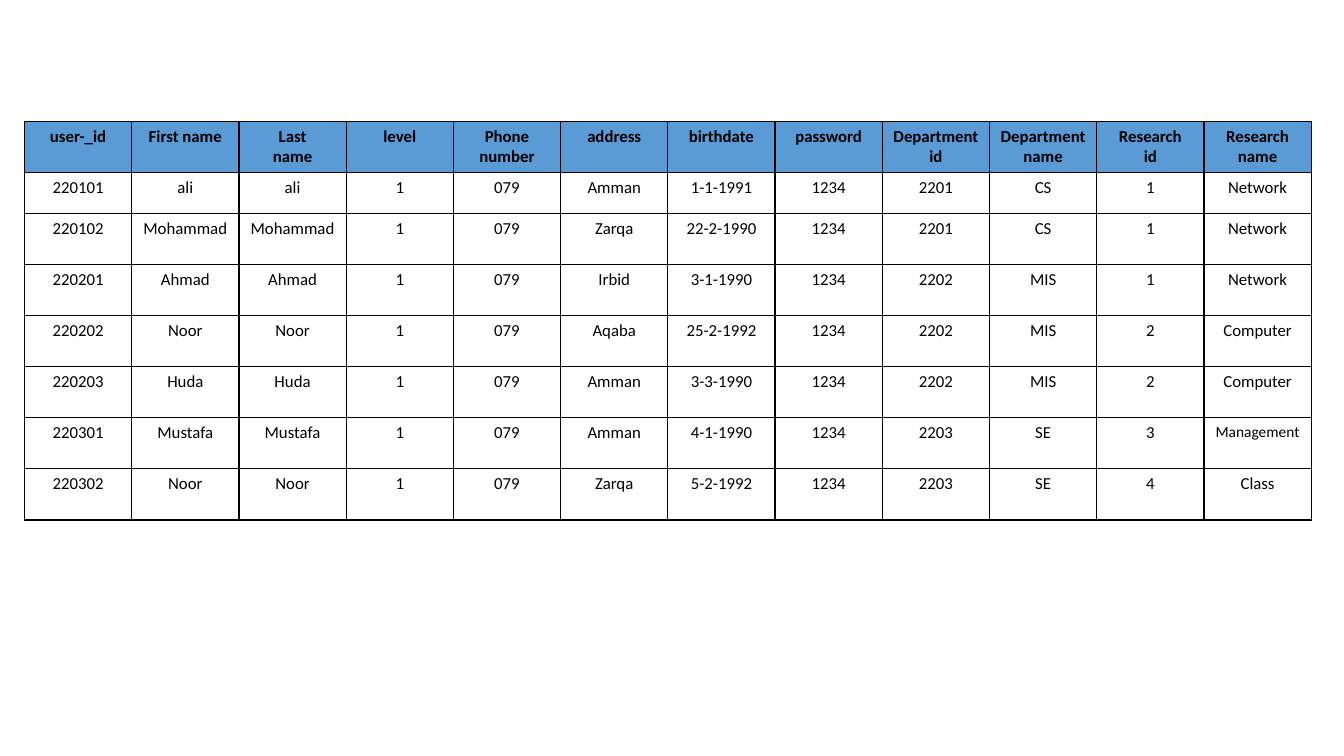
from lxml import etree
from pptx import Presentation
from pptx.dml.color import RGBColor
from pptx.enum import text
from pptx.oxml import ns
from pptx.util import Pt

# Content: a line break in a heading starts a new paragraph
HEADINGS = [
    "user-_id", "First name", "Last\nname", "level", "Phone\nnumber", "address",
    "birthdate", "password", "Department\nid", "Department\nname",
    "Research\nid", "Research\nname",
]
USERS = [
    ("220101", "ali", "ali", "1", "079", "Amman", "1-1-1991", "1234", "2201", "CS", "1", "Network"),
    ("220102", "Mohammad", "Mohammad", "1", "079", "Zarqa", "22-2-1990", "1234", "2201", "CS", "1", "Network"),
    ("220201", "Ahmad", "Ahmad", "1", "079", "Irbid", "3-1-1990", "1234", "2202", "MIS", "1", "Network"),
    ("220202", "Noor", "Noor", "1", "079", "Aqaba", "25-2-1992", "1234", "2202", "MIS", "2", "Computer"),
    ("220203", "Huda", "Huda", "1", "079", "Amman", "3-3-1990", "1234", "2202", "MIS", "2", "Computer"),
    ("220301", "Mustafa", "Mustafa", "1", "079", "Amman", "4-1-1990", "1234", "2203", "SE", "3", "Management"),
    ("220302", "Noor", "Noor", "1", "079", "Zarqa", "5-2-1992", "1234", "2203", "SE", "4", "Class"),
]
SMALL_WORDS = {"Management"}

THEME = {
    "font": "Calibri", "size": 12, "small_size": 11,
    "ink": "000000", "header_fill": "5B9BD5", "body_fill": "FFFFFF", "border": 1,
}

# Layout in points
SLIDE_WIDTH, SLIDE_HEIGHT = 960, 540
TABLE_LEFT, TABLE_TOP = 17.5, 86.7
COLUMN_WIDTH = 76.6
ROW_HEIGHT, FIRST_USER_HEIGHT = 36.5, 29.3
SIDE_MARGIN = 5.4


def add_borders(cell):
    properties = cell._tc.get_or_add_tcPr()
    for side in ("lnL", "lnR", "lnT", "lnB"):
        line = etree.SubElement(properties, ns.qn(f"a:{side}"), w=str(Pt(THEME["border"])))
        fill = etree.SubElement(line, ns.qn("a:solidFill"))
        etree.SubElement(fill, ns.qn("a:srgbClr"), val=THEME["ink"])


def fill_cell(cell, words, is_header):
    add_borders(cell)
    cell.fill.solid()
    cell.fill.fore_color.rgb = RGBColor.from_string(THEME["header_fill" if is_header else "body_fill"])
    cell.margin_left = cell.margin_right = Pt(SIDE_MARGIN)
    frame = cell.text_frame
    for index, line in enumerate(words.split("\n")):
        paragraph = frame.add_paragraph() if index else frame.paragraphs[0]
        paragraph.alignment = text.PP_ALIGN.CENTER
        run = paragraph.add_run()
        run.text = line
        run.font.name = THEME["font"]
        run.font.size = Pt(THEME["small_size" if line in SMALL_WORDS else "size"])
        run.font.bold = is_header
        run.font.color.rgb = RGBColor.from_string(THEME["ink"])


def main():
    presentation = Presentation()
    presentation.slide_width, presentation.slide_height = Pt(SLIDE_WIDTH), Pt(SLIDE_HEIGHT)
    slide = presentation.slides.add_slide(presentation.slide_layouts[6])

    # Table grid: only the first user row is lower than the rest
    rows = [HEADINGS, *USERS]
    heights = [ROW_HEIGHT, FIRST_USER_HEIGHT] + [ROW_HEIGHT] * (len(rows) - 2)
    table = slide.shapes.add_table(
        len(rows), len(HEADINGS), Pt(TABLE_LEFT), Pt(TABLE_TOP),
        Pt(COLUMN_WIDTH * len(HEADINGS)), Pt(sum(heights)),
    ).table
    table.horz_banding = False
    for column in table.columns:
        column.width = Pt(COLUMN_WIDTH)

    # Cells
    for row_index, (row, height) in enumerate(zip(rows, heights)):
        table.rows[row_index].height = Pt(height)
        for column_index, words in enumerate(row):
            fill_cell(table.cell(row_index, column_index), words, row_index == 0)

    presentation.save("out.pptx")


if __name__ == "__main__":
    main()
